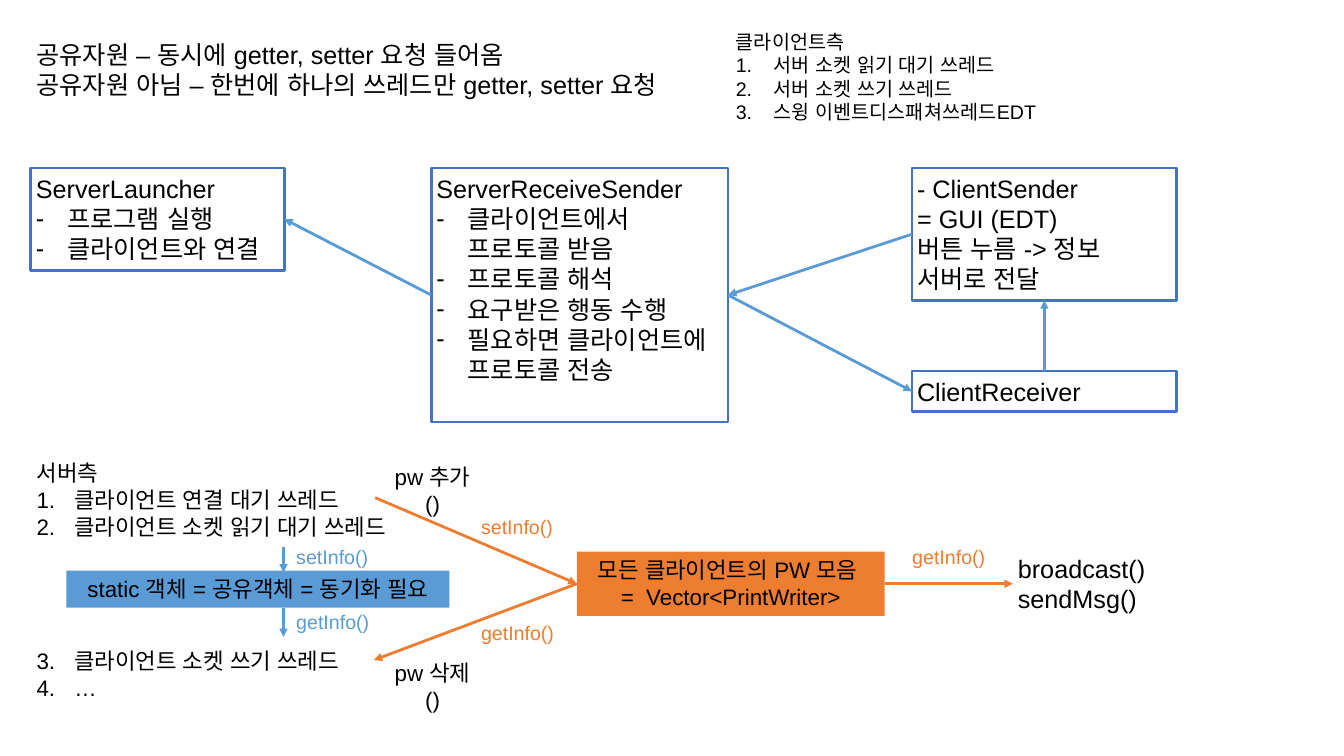
"""Build a slide showing server and client threads and the objects they share."""
from pptx import Presentation
from pptx.dml.color import RGBColor
from pptx.enum.shapes import MSO_CONNECTOR as CONNECTOR, MSO_SHAPE as SHAPE
from pptx.enum.text import MSO_ANCHOR as ANCHOR, PP_ALIGN as ALIGN
from pptx.oxml.ns import qn
from pptx.util import Pt
from lxml.etree import SubElement

BLACK = RGBColor(0x00, 0x00, 0x00)
WHITE = RGBColor(0xFF, 0xFF, 0xFF)
OUTLINE = RGBColor(0x44, 0x72, 0xC4)
BLUE = RGBColor(0x5B, 0x9B, 0xD5)
ORANGE = RGBColor(0xED, 0x7D, 0x31)
LEFT, CENTER = ALIGN.LEFT, ALIGN.CENTER
TOP_SITE, LEFT_SITE, BOTTOM_SITE, RIGHT_SITE = range(4)

presentation = Presentation()
presentation.slide_width, presentation.slide_height = Pt(960), Pt(540)
slide = presentation.slides.add_slide(presentation.slide_layouts[6])


def write(shape, lines, size, color=BLACK, align=LEFT, wrap=True, inset=3.6, bullet=None, indent=0):
    """Write lines into a shape, bulleting all but the first when asked."""
    frame = shape.text_frame
    frame.text = "\n".join(lines)
    settings = {"word_wrap": wrap, "vertical_anchor": ANCHOR.TOP,
                "margin_left": Pt(inset), "margin_right": Pt(inset),
                "margin_top": Pt(3.6), "margin_bottom": Pt(3.6)}
    for name, value in settings.items():
        setattr(frame, name, value)
    for number, paragraph in enumerate(frame.paragraphs):
        paragraph.alignment = align
        for run in paragraph.runs:
            for name, value in {"name": "Arial", "size": Pt(size)}.items():
                setattr(run.font, name, value)
            run.font.color.rgb = color
            SubElement(run.font._element, qn("a:ea"), typeface="Arial")
        if bullet and number:
            properties = paragraph._p.get_or_add_pPr()
            properties.set("marL", str(Pt(indent)))
            properties.set("indent", str(-Pt(indent)))
            SubElement(properties, qn("a:buFont"), typeface="Arial")
            if bullet == "-":
                SubElement(properties, qn("a:buChar"), char="-")
            else:
                SubElement(properties, qn("a:buAutoNum"), type="arabicPeriod")


def add_arrow(color, start, end):
    """Draw an arrow between points or (shape, connection site) pairs."""
    arrow = slide.shapes.add_connector(CONNECTOR.STRAIGHT, 0, 0, 0, 0)
    if isinstance(start[0], (int, float)):
        arrow.begin_x, arrow.begin_y = map(Pt, start)
    else:
        arrow.begin_connect(*start)
    if isinstance(end[0], (int, float)):
        arrow.end_x, arrow.end_y = map(Pt, end)
    else:
        arrow.end_connect(*end)
    arrow.line.color.rgb = color
    arrow.line.width = Pt(2)
    SubElement(arrow.line._get_or_add_ln(), qn("a:tailEnd"), type="triangle")
    SubElement(arrow._element.spPr, qn("a:effectLst"))


dashes = {"size": 18, "bullet": "-", "indent": 22.5}
centered = {"size": 16, "align": CENTER, "wrap": False}
boxes = {
    "launcher": ((22, 120, 181, 73), WHITE, OUTLINE,
                 ["ServerLauncher", "프로그램 실행", "클라이언트와 연결"], dashes),
    "server": ((308, 120, 212, 181.5), WHITE, OUTLINE,
               ["ServerReceiveSender", "클라이언트에서 프로토콜 받음", "프로토콜 해석",
                "요구받은 행동 수행", "필요하면 클라이언트에 프로토콜 전송"], dashes),
    "sender": ((651.5, 120, 189, 94.5), WHITE, OUTLINE,
               ["- ClientSender", "= GUI (EDT)", "버튼 누름 -> 정보 서버로 전달"], {"size": 18}),
    "receiver": ((651.5, 265, 189, 29), WHITE, OUTLINE, ["ClientReceiver"], {"size": 18}),
    "static": ((47.5, 407.5, 273.5, 26.5), BLUE, None,
               ["static 객체 = 공유객체 = 동기화 필요"], centered),
    "writers": ((412, 394, 220, 46), ORANGE, None,
                ["모든 클라이언트의 PW 모음 ", "=  Vector<PrintWriter>"], centered),
}
nodes = {}
for name, (bounds, fill, outline, lines, style) in boxes.items():
    shape = nodes[name] = slide.shapes.add_shape(SHAPE.RECTANGLE, *map(Pt, bounds))
    shape.shadow.inherit = False
    shape.fill.solid()
    shape.fill.fore_color.rgb = fill
    if outline:
        shape.line.color.rgb = outline
        shape.line.width = Pt(2)
    else:
        shape.line.fill.background()
    write(shape, lines, **style)

numbers = {"bullet": "1.", "indent": 27}
action = {"size": 16, "align": CENTER, "inset": 10}
blue_label = {"size": 14, "color": BLUE, "wrap": False}
orange_label = {"size": 14, "color": ORANGE, "wrap": False}
texts = {
    "note": ((22.5, 24.5, 554, 51),
             ["공유자원 – 동시에 getter, setter 요청 들어옴",
              "공유자원 아님 – 한번에 하나의 쓰레드만 getter, setter 요청"], {"size": 18}),
    "server threads": ((22.5, 324.5, 279, 181.5),
                       ["서버측", "클라이언트 연결 대기 쓰레드", "클라이언트 소켓 읽기 대기 쓰레드",
                        "클라이언트 소켓 쓰기 쓰레드", "…"], {"size": 16, **numbers}),
    "client threads": ((522, 17.5, 236, 75),
                       ["클라이언트측", "서버 소켓 읽기 대기 쓰레드", "서버 소켓 쓰기 쓰레드",
                        "스윙 이벤트디스패쳐쓰레드EDT"], {"size": 14, **numbers}),
    "messages": ((723.5, 391.5, 117, 51), ["broadcast()", "sendMsg()"], {"size": 18}),
    "add": ((267.5, 327.5, 83, 26.5), ["pw 추가()"], action),
    "remove": ((267.5, 467.5, 83, 26.5), ["pw 삭제()"], action),
    "static set": ((208, 386, 59, 24.5), ["setInfo()"], blue_label),
    "static get": ((208, 432, 60, 24.5), ["getInfo()"], blue_label),
    "writers set": ((340, 364.5, 59, 24.5), ["setInfo()"], orange_label),
    "writers get": ((340, 440, 60, 24.5), ["getInfo()"], orange_label),
    "message get": ((648, 386, 60, 24.5), ["getInfo()"], orange_label),
}
for name, (bounds, lines, style) in texts.items():
    nodes[name] = slide.shapes.add_textbox(*map(Pt, bounds))
    write(nodes[name], lines, **style)
nodes["server threads"].text_frame.paragraphs[3].space_before = Pt(76.5)

arrows = [
    (BLUE, (nodes["server"], RIGHT_SITE), (nodes["receiver"], LEFT_SITE)),
    (BLUE, (nodes["sender"], LEFT_SITE), (nodes["server"], RIGHT_SITE)),
    (BLUE, (nodes["server"], LEFT_SITE), (nodes["launcher"], RIGHT_SITE)),
    (BLUE, (nodes["receiver"], TOP_SITE), (nodes["sender"], BOTTOM_SITE)),
    (BLUE, (202.5, 391), (202.5, 409)),
    (BLUE, (202.5, 434), (202.5, 455)),
    (ORANGE, (268, 355.5), (nodes["writers"], LEFT_SITE)),
    (ORANGE, (nodes["writers"], LEFT_SITE), (267, 471.5)),
    (ORANGE, (nodes["writers"], RIGHT_SITE), (nodes["messages"], LEFT_SITE)),
]
for color, start, end in arrows:
    add_arrow(color, start, end)

presentation.save("out.pptx")
